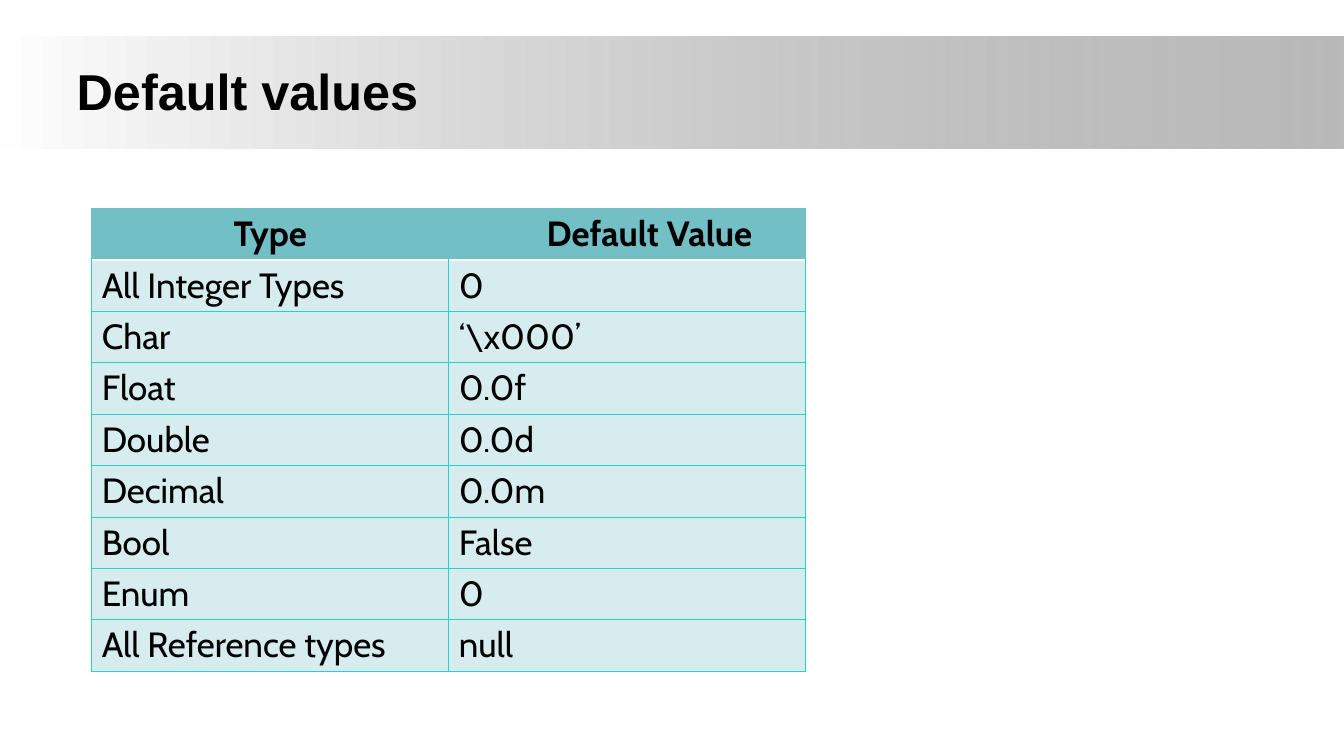
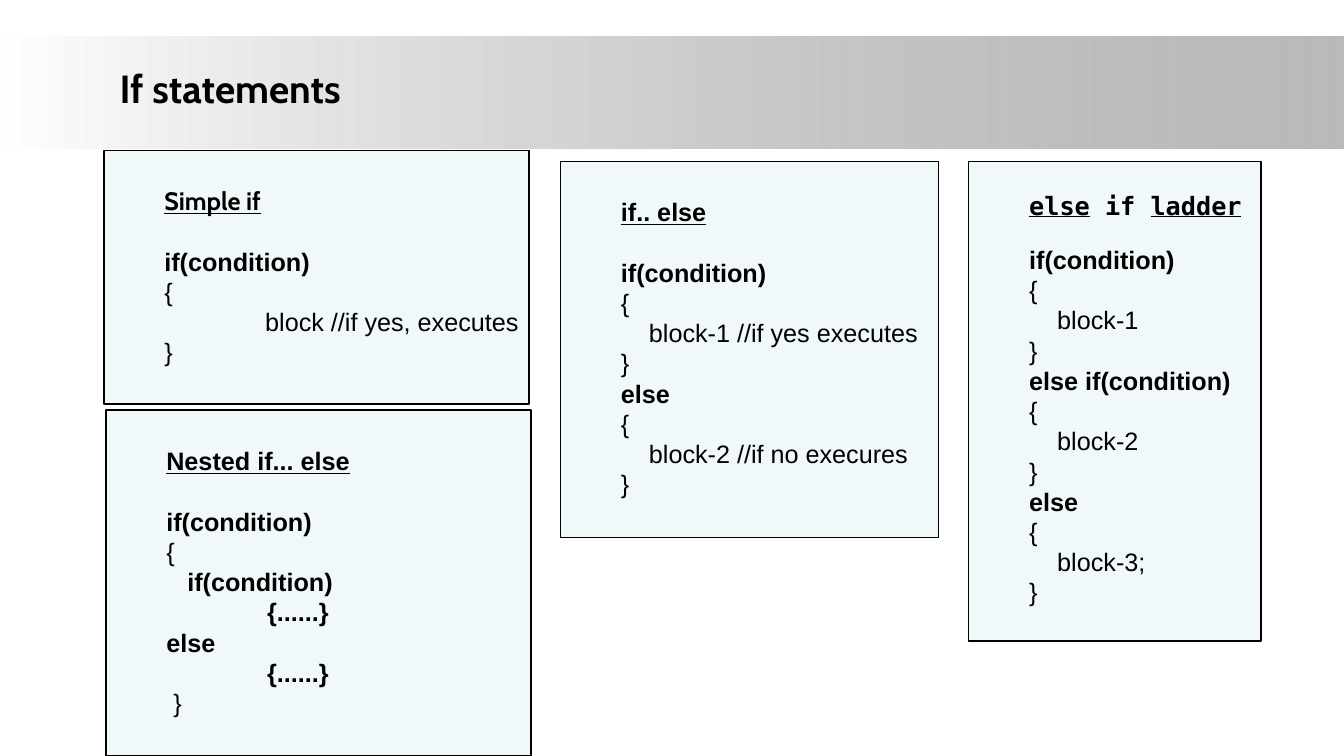
from lxml import etree
from pptx import Presentation
from pptx.dml.color import RGBColor
from pptx.enum.shapes import MSO_SHAPE
from pptx.enum.text import MSO_ANCHOR, MSO_AUTO_SIZE, PP_ALIGN
from pptx.oxml.ns import qn
from pptx.util import Pt

RECTANGLE = MSO_SHAPE.RECTANGLE
TOP, MIDDLE = MSO_ANCHOR.TOP, MSO_ANCHOR.MIDDLE
LEFT, CENTER = PP_ALIGN.LEFT, PP_ALIGN.CENTER
NO_FIT = MSO_AUTO_SIZE.NONE

COLORS = {
    "text": "000000", "white": "FFFFFF", "band_end": "808080",
    "header": "72BFC5", "row": "D6ECEE", "grid": "27CED6", "panel": "E4F3F4",
}
SANS, CABIN, MONO = "Arial", "Cabin", "DejaVu Sans Mono"
SLIDE_W, SLIDE_H = 960, 540

DEFAULTS = [
    ("Type", "Default Value"),
    ("All Integer Types", "0"),
    ("Char", "‘\\x000’"),
    ("Float", "0.0f"),
    ("Double", "0.0d"),
    ("Decimal", "0.0m"),
    ("Bool", "False"),
    ("Enum", "0"),
    ("All Reference types", "null"),
]
TABLE_BOX = (65.5, 149, 510, 330.5)
CELL_INDENT, HEADER_INDENT = 7.2, 70

CODE_SIZE, LINE_PITCH = 18, 21.6
CODE_LEFT, INSET = 43.2, 3.6
TAB, STEP = 72, 20
IF = ("if(condition)", 0, True)
ELSE = ("else", 0, True)
OPEN, CLOSE = ("{", 0, False), ("}", 0, False)
NESTED_BLOCK = ("{......}", TAB, True)

# Heading parts are (text, underlined); code lines are (text, indent, bold)
PANELS = [
    {"box": (400.3, 115.2, 270, 268.6), "font": SANS, "gap": LINE_PITCH,
     "heading": [("if.. else", True)],
     "code": [IF, OPEN, ("block-1 //if yes executes", STEP, False), CLOSE,
              ELSE, OPEN, ("block-2 //if no execures", STEP, False), CLOSE]},
    {"box": (692, 115.2, 208.8, 342.7), "font": MONO, "gap": 17,
     "heading": [("else", True), (" if ", False), ("ladder", True)],
     "code": [IF, OPEN, ("block-1", STEP, False), CLOSE,
              ("else if(condition)", 0, True), OPEN,
              ("block-2", STEP, False), CLOSE,
              ELSE, OPEN, ("block-3;", STEP, False), CLOSE]},
    {"box": (74.2, 107.3, 303.8, 181.4), "font": CABIN, "gap": LINE_PITCH,
     "heading": [("Simple if", True)],
     "code": [IF, OPEN, ("block //if yes, executes", TAB, False), CLOSE]},
    {"box": (75.6, 293, 303.8, 247), "font": SANS, "gap": LINE_PITCH,
     "heading": [("Nested if... else", True)],
     "code": [IF, OPEN, ("if(condition)", 15, True), NESTED_BLOCK,
              ELSE, NESTED_BLOCK, ("}", 5, False)]},
]


def rgb(name):
    return RGBColor.from_string(COLORS[name])


def points(box):
    return [Pt(length) for length in box]


def set_margins(frame, left=0, top=0, right=0, bottom=0):
    frame.margin_left, frame.margin_top = Pt(left), Pt(top)
    frame.margin_right, frame.margin_bottom = Pt(right), Pt(bottom)


def style(paragraph, font, size, bold):
    paragraph.font.name = font
    paragraph.font.size = Pt(size)
    paragraph.font.bold = bold
    paragraph.font.color.rgb = rgb("text")


def set_opacity(shape, name, percent):
    """Make the uses of one colour in the shape's fill partly transparent."""
    for color in shape.element.spPr.iter(qn("a:srgbClr")):
        if color.get("val") == COLORS[name]:
            etree.SubElement(color, qn("a:alpha")).set("val", str(percent * 1000))


def add_rectangle(slide, box):
    shape = slide.shapes.add_shape(RECTANGLE, *points(box))
    shape.shadow.inherit = False
    return shape


def add_band_to_layout(slide, layout):
    """Draw the title band on a slide, then move it behind the layout's title."""
    band = add_rectangle(slide, (0, 26, SLIDE_W, 80))
    band.line.fill.background()
    band.fill.gradient()
    band.fill.gradient_angle = 0
    for stop, name in zip(band.fill.gradient_stops, ("white", "band_end")):
        stop.color.rgb = rgb(name)
    set_opacity(band, "band_end", 54)
    title, *footers = layout.placeholders
    for footer in footers:
        footer.element.getparent().remove(footer.element)
    title.element.addprevious(band.element)


def set_title(slide, text, box, font, size, indent):
    title = slide.shapes.title
    title.left, title.top, title.width, title.height = points(box)
    frame = title.text_frame
    frame.text = text
    frame.auto_size = NO_FIT
    frame.vertical_anchor = MIDDLE
    set_margins(frame, left=indent)
    frame.paragraphs[0].alignment = LEFT
    style(frame.paragraphs[0], font, size, True)


def set_borders(cell, borders):
    """Borders are (colour, width) for left, right, top and bottom."""
    properties = cell._tc.get_or_add_tcPr()
    for place, (side, (name, width)) in enumerate(zip("LRTB", borders)):
        line = etree.Element(qn(f"a:ln{side}"), w=str(Pt(width)))
        fill = etree.SubElement(line, qn("a:solidFill"))
        etree.SubElement(fill, qn("a:srgbClr")).set("val", COLORS[name])
        properties.insert(place, line)


def add_defaults_table(slide):
    row_count, column_count = len(DEFAULTS), len(DEFAULTS[0])
    table = slide.shapes.add_table(row_count, column_count, *points(TABLE_BOX)).table
    table.first_row = table.horz_banding = False
    for row in table.rows:
        row.height = Pt(TABLE_BOX[3] / row_count)
    grid, edge, rule = ("grid", 0.5), ("header", 0.5), ("white", 1)
    for r, values in enumerate(DEFAULTS):
        is_header = r == 0
        for c, value in enumerate(values):
            cell = table.cell(r, c)
            cell.text = value
            cell.vertical_anchor = MIDDLE
            cell.fill.solid()
            cell.fill.fore_color.rgb = rgb("header" if is_header else "row")
            paragraph = cell.text_frame.paragraphs[0]
            style(paragraph, CABIN, 25, is_header)
            if is_header:
                paragraph.alignment = LEFT if c else CENTER
                set_margins(cell, left=HEADER_INDENT if c else 0)
                set_borders(cell, (edge, edge, edge, rule))
            else:
                set_margins(cell, left=CELL_INDENT)
                set_borders(cell, (grid, grid, rule if r == 1 else grid, grid))


def add_code_panel(slide, panel):
    shape = add_rectangle(slide, panel["box"])
    shape.fill.solid()
    shape.fill.fore_color.rgb = rgb("panel")
    set_opacity(shape, "panel", 52)
    shape.line.color.rgb = rgb("text")
    shape.line.width = Pt(1)
    frame = shape.text_frame
    frame.word_wrap = True
    frame.vertical_anchor = TOP
    set_margins(frame, left=CODE_LEFT, top=INSET + panel["gap"])

    heading = frame.paragraphs[0]
    style(heading, panel["font"], CODE_SIZE, True)
    for text, underlined in panel["heading"]:
        run = heading.add_run()
        run.text = text
        run.font.underline = underlined
    for text, indent, bold in panel["code"]:
        line = frame.add_paragraph()
        line.text = text
        style(line, SANS, CODE_SIZE, bold)
        line._p.get_or_add_pPr().set("marL", str(Pt(indent)))
    frame.paragraphs[1].space_before = Pt(panel["gap"])
    for paragraph in frame.paragraphs:
        paragraph.alignment = LEFT
        paragraph.line_spacing = Pt(LINE_PITCH)


def main():
    deck = Presentation()
    deck.slide_width, deck.slide_height = Pt(SLIDE_W), Pt(SLIDE_H)
    layout = deck.slide_layouts[5]

    defaults = deck.slides.add_slide(layout)
    add_band_to_layout(defaults, layout)
    set_title(defaults, "Default values", (54, 42, 300, 45), SANS, 36, 0.7)
    add_defaults_table(defaults)

    statements = deck.slides.add_slide(layout)
    set_title(statements, "If statements", (56, 42.5, 276, 41), CABIN, 28, 29.5)
    for panel in PANELS:
        add_code_panel(statements, panel)

    deck.save("out.pptx")


if __name__ == "__main__":
    main()
